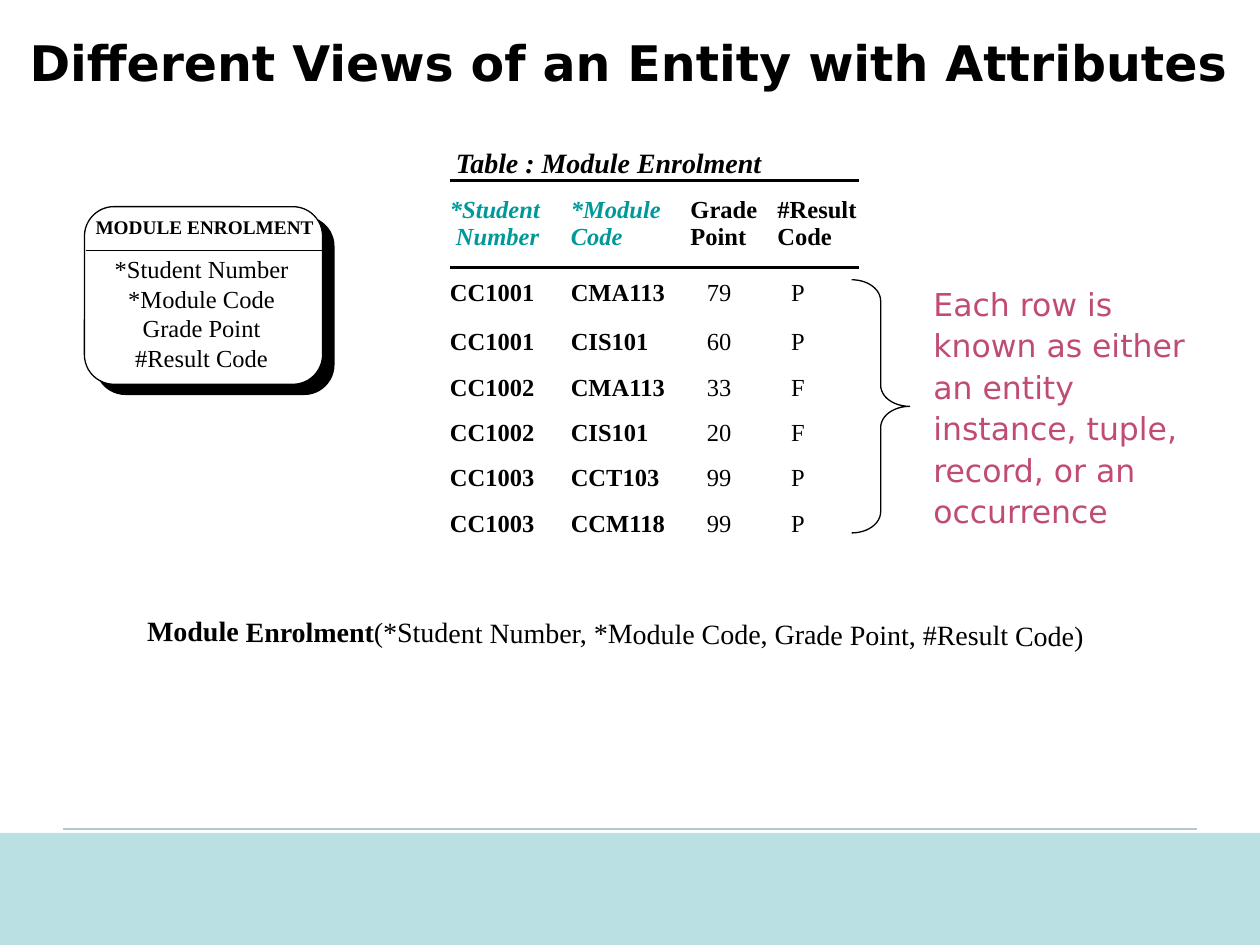
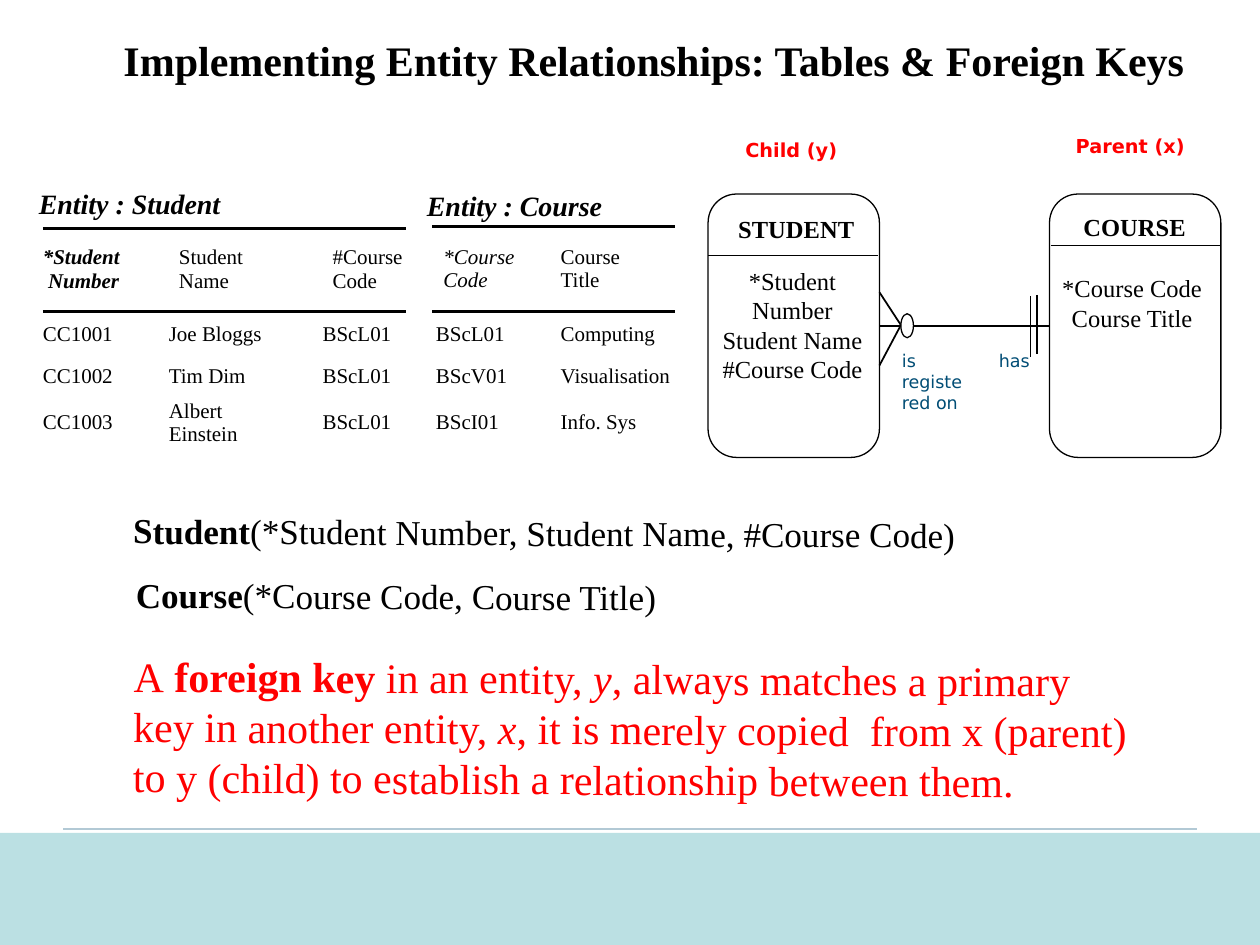
from lxml.etree import SubElement
from pptx import Presentation
from pptx.dml.color import RGBColor
from pptx.enum.shapes import MSO_CONNECTOR, MSO_SHAPE
from pptx.enum.text import MSO_ANCHOR, MSO_AUTO_SIZE, PP_ALIGN
from pptx.oxml import parse_xml
from pptx.oxml.ns import nsdecls, qn
from pptx.util import Inches, Pt

SERIF, SANS = "Times New Roman", "DejaVu Sans"
BLACK, WHITE, RED, TEAL = "000000", "FFFFFF", "FF0000", "009999"
ROSE, NAVY, AQUA, MIST = "C04C73", "004D75", "BBE0E3", "B2C9D5"
LEFT, MID, RIGHT = PP_ALIGN.LEFT, PP_ALIGN.CENTER, PP_ALIGN.RIGHT
PLAIN = "{2D5ABB26-0587-4C30-8999-92F81FD0307C}"

ink = RGBColor.from_string
deck = Presentation()
deck.slide_width, deck.slide_height = Inches(10), Inches(7.5)
cell = deck.slide_width // 10


def at(*spans):
    return [round(span * cell) for span in spans]


def say(frame, paras, size, hue=BLACK, font=SERIF, side=LEFT, wrap=True):
    frame.word_wrap = wrap
    frame.vertical_anchor = MSO_ANCHOR.TOP
    for n, runs in enumerate(paras):
        para = frame.add_paragraph() if n else frame.paragraphs[0]
        para.alignment = side
        for words, style in runs:
            run = para.add_run()
            run.text = words
            run.font.name, run.font.size = font, Pt(size)
            run.font.bold, run.font.italic = "b" in style, "i" in style
            run.font.color.rgb = ink(hue)


plan = deck.slide_layouts[5]
heads = [
    ("Different Views of an Entity with Attributes", 28, SANS, (0.1, 0.21, 9.77, 0.57)),
    ("Implementing Entity Relationships: Tables & Foreign Keys", 24, SERIF, (0.86, 0.22, 8.66, 0.5)),
]
pages = []
for words, size, font, box in heads:
    page = deck.slides.add_slide(plan)
    title = page.shapes.title
    title.left, title.top, title.width, title.height = at(*box)
    title.text_frame.auto_size = MSO_AUTO_SIZE.NONE
    say(title.text_frame, [[(words, "b")]], size, font=font, side=MID, wrap=False)
    pages.append(page)
views, links = pages

cards = []
for page, x, y, wide, high, fill, edge in [
    (views, 0.76, 1.72, 1.89, 1.41, BLACK, BLACK),
    (views, 0.67, 1.64, 1.89, 1.41, WHITE, BLACK),
    (links, 5.62, 1.54, 1.36, 2.09, WHITE, BLACK),
    (links, 8.33, 1.54, 1.36, 2.09, WHITE, BLACK),
]:
    card = page.shapes.add_shape(MSO_SHAPE.FLOWCHART_ALTERNATE_PROCESS, *at(x, y, wide, high))
    card.shadow.inherit = False
    card.fill.solid()
    card.fill.fore_color.rgb = ink(fill)
    card.line.color.rgb = ink(edge)
    card.line.width = Pt(0.75)
    cards.append(card)

lines = []
for page, ends, width, hue in [
    (views, (0.5, 6.58, 9.5, 6.58), 1.25, MIST),
    (views, (0.68, 1.99, 2.56, 1.99), 0.75, BLACK),
    (links, (5.62, 2.03, 6.97, 2.03), 0.75, BLACK),
    (links, (8.34, 1.95, 9.68, 1.95), 0.75, BLACK),
    (links, (6.98, 2.32, 7.15, 2.58), 1, BLACK),
    (links, (7.15, 2.58, 6.98, 2.9), 1, BLACK),
    (links, (8.18, 2.35, 8.18, 2.83), 0.75, BLACK),
    (links, (8.23, 2.34, 8.23, 2.81), 0.75, BLACK),
    (links, (8.33, 2.58, 6.98, 2.58), 1, BLACK),
]:
    line = page.shapes.add_connector(MSO_CONNECTOR.STRAIGHT, *at(*ends))
    line.line.color.rgb = ink(hue)
    line.line.width = Pt(width)
    SubElement(line._element.spPr, qn("a:effectLst"))
    lines.append(line)
lines[-1].begin_connect(cards[3], 1)
lines[-1].end_connect(cards[2], 3)
plan.shapes._spTree.append(lines[0]._element)

ring = links.shapes.add_shape(MSO_SHAPE.OVAL, *at(7.15, 2.49, 0.1, 0.19))
ring.fill.solid()
ring.fill.fore_color.rgb = ink(WHITE)
brace = views.shapes.add_shape(MSO_SHAPE.RIGHT_BRACE, *at(6.76, 2.22, 0.46, 2.01))
brace.adjustments[0], brace.adjustments[1] = 0.366, 0.5
brace.fill.background()
for mark in (ring, brace):
    mark.shadow.inherit = False
    mark.line.color.rgb = ink(BLACK)
    mark.line.width = Pt(0.75)

grids = [
    (views, 3.57, 1.43, 14, (0.96, 0.95, 0.69, 0.65), [0.69, 0.42] + [0.36] * 5,
     (0, 0, 0, 0), (0, 0, 0.13, 0.11), ("bi", "bi", "b", "b"), ("b", "b", "", ""),
     (TEAL, TEAL, BLACK, BLACK),
     ["*Student\n Number", "*Module\nCode", "Grade\nPoint", "#Result\nCode"],
     [("CC1001", "CMA113", "79", "P"), ("CC1001", "CIS101", "60", "P"),
      ("CC1002", "CMA113", "33", "F"), ("CC1002", "CIS101", "20", "F"),
      ("CC1003", "CCT103", "99", "P"), ("CC1003", "CCM118", "99", "P")]),
    (links, 0.34, 1.81, 12, (1, 1.22, 0.66), (0.66, 0.37, 0.3, 0.43),
     (0, 0.08, 0.08), (0, 0, 0), ("bi", "", ""), ("", "", ""), (BLACK,) * 3,
     ["*Student\n Number", "Student\nName", "#Course\nCode"],
     [("CC1001", "Joe Bloggs", "BScL01"), ("CC1002", "Tim Dim", "BScL01"),
      ("CC1003", "Albert Einstein", "BScL01")]),
    (links, 3.43, 1.8, 12, (1.02, 0.91), (0.67, 0.37, 0.3, 0.43),
     (0.09, 0), (0.03, 0), ("i", ""), ("", ""), (BLACK,) * 2,
     ["*Course\nCode", "Course\nTitle"],
     [("BScL01", "Computing"), ("BScV01", "Visualisation"), ("BScI01", "Info. Sys")]),
]
for page, x, y, size, cols, rows, first, rest, bold, thin, hues, names, data in grids:
    table = page.shapes.add_table(
        len(rows), len(cols), *at(x, y, sum(cols), sum(rows))).table
    table._tbl.tblPr[0].text = PLAIN
    table.first_row = table.horz_banding = False
    for c, wide in enumerate(cols):
        table.columns[c].width = at(wide)[0]
    for r, high in enumerate(rows):
        table.rows[r].height = at(high)[0]
        for c, words in enumerate(data[r - 1] if r else names):
            box = table.cell(r, c)
            box.fill.background()
            box.vertical_anchor = MSO_ANCHOR.MIDDLE
            box.margin_top = box.margin_bottom = box.margin_right = 0
            box.margin_left = at((rest if r else first)[c])[0]
            if words == "Albert Einstein":
                box.margin_right = at(0.35)[0]
            style = (thin if r else bold)[c]
            say(box.text_frame, [[(part, style)] for part in words.split("\n")],
                size, BLACK if r else hues[c])
            if r == 0:
                for n, side in enumerate(("lnT", "lnB")):
                    box._tc.tcPr.insert(n, parse_xml(
                        f'<a:{side} {nsdecls("a")} w="25400"><a:solidFill>'
                        f'<a:srgbClr val="{BLACK}"/></a:solidFill></a:{side}>'))

notes = [
    (views, (3.52, 1.11, 3.17, 0.37), 16, BLACK, SERIF, LEFT, [[("Table : Module Enrolment", "bi")]]),
    (views, (0.53, 1.66, 2.19, 0.29), 11, BLACK, SERIF, MID, [[("MODULE ENROLMENT", "b")]]),
    (views, (0.66, 1.97, 1.88, 1.04), 14, BLACK, SERIF, MID,
     [[("*Student Number", "")], [("*Module Code", "")], [("Grade Point", "")], [("#Result Code", "")]]),
    (links, (0.21, 1.43, 1.65, 0.37), 16, BLACK, SERIF, LEFT, [[("Entity : Student", "bi")]]),
    (links, (3.29, 1.45, 1.6, 0.37), 16, BLACK, SERIF, LEFT, [[("Entity : Course", "bi")]]),
    (links, (5.62, 1.05, 1.32, 0.29), 11, RED, SANS, MID, [[("Child (y)", "b")]]),
    (links, (8.31, 1.02, 1.32, 0.29), 11, RED, SANS, MID, [[("Parent (x)", "b")]]),
    (links, (5.75, 1.65, 1.14, 0.48), 14, BLACK, SERIF, MID, [[("STUDENT", "b")]]),
    (links, (8.47, 1.63, 1.07, 0.48), 14, BLACK, SERIF, MID, [[("COURSE", "b")]]),
    (links, (5.51, 2.06, 1.56, 1.55), 14, BLACK, SERIF, MID,
     [[("*Student Number", "")], [("Student Name", "")], [("#Course Code", "")]]),
    (links, (8.31, 2.12, 1.35, 0.91), 14, BLACK, SERIF, MID,
     [[("*Course Code", "")], [("Course Title", "")]]),
    (links, (7.06, 2.73, 0.71, 0.9), 10, NAVY, SANS, LEFT, [[("is registered on", "")]]),
    (links, (7.77, 2.73, 0.5, 0.4), 10, NAVY, SANS, RIGHT, [[("has", "")]]),
]
for page, box, size, hue, font, side, paras in notes:
    say(page.shapes.add_textbox(*at(*box)).text_frame, paras, size, hue, font, side)

claim = views.shapes.add_textbox(*at(7.31, 2.18, 2.4, 2.08)).text_frame
say(claim, [[("Each row is known as either an entity instance, tuple, record, or an occurrence", "")]],
    18, ROSE, SANS)
claim.paragraphs[0].line_spacing = 1.1

for page, box, size, hue, runs in [
    (views, (1.07, 4.84, 7.73, 0.37), 16, BLACK,
     [("Module Enrolment", "b"), ("(*Student Number, *Module Code, Grade Point, #Result Code)", "")]),
    (links, (0.96, 4.01, 7.73, 0.43), 20, BLACK,
     [("Student", "b"), ("(*Student Number, Student Name, #Course Code)", "")]),
    (links, (0.98, 4.52, 7.73, 0.43), 20, BLACK,
     [("Course", "b"), ("(*Course Code, Course Title)", "")]),
    (links, (0.96, 5.13, 8.09, 1.31), 24, RED,
     [("A", ""), (" foreign key ", "b"), ("in an entity, ", ""), ("y", "i"),
      (", always matches a primary key in another entity, ", ""), ("x", "i"),
      (", it is merely copied  from x (parent) to y (child) to establish a relationship between them.", "")]),
]:
    note = page.shapes.add_textbox(*at(*box))
    note.rotation = 0.3
    say(note.text_frame, [runs], size, hue)

for page in pages:
    band = page.shapes.add_shape(MSO_SHAPE.RECTANGLE, *at(0, 6.61, 10, 0.89))
    band.shadow.inherit = False
    band.fill.solid()
    band.fill.fore_color.rgb = ink(AQUA)
    band.line.fill.background()

deck.save("out.pptx")
